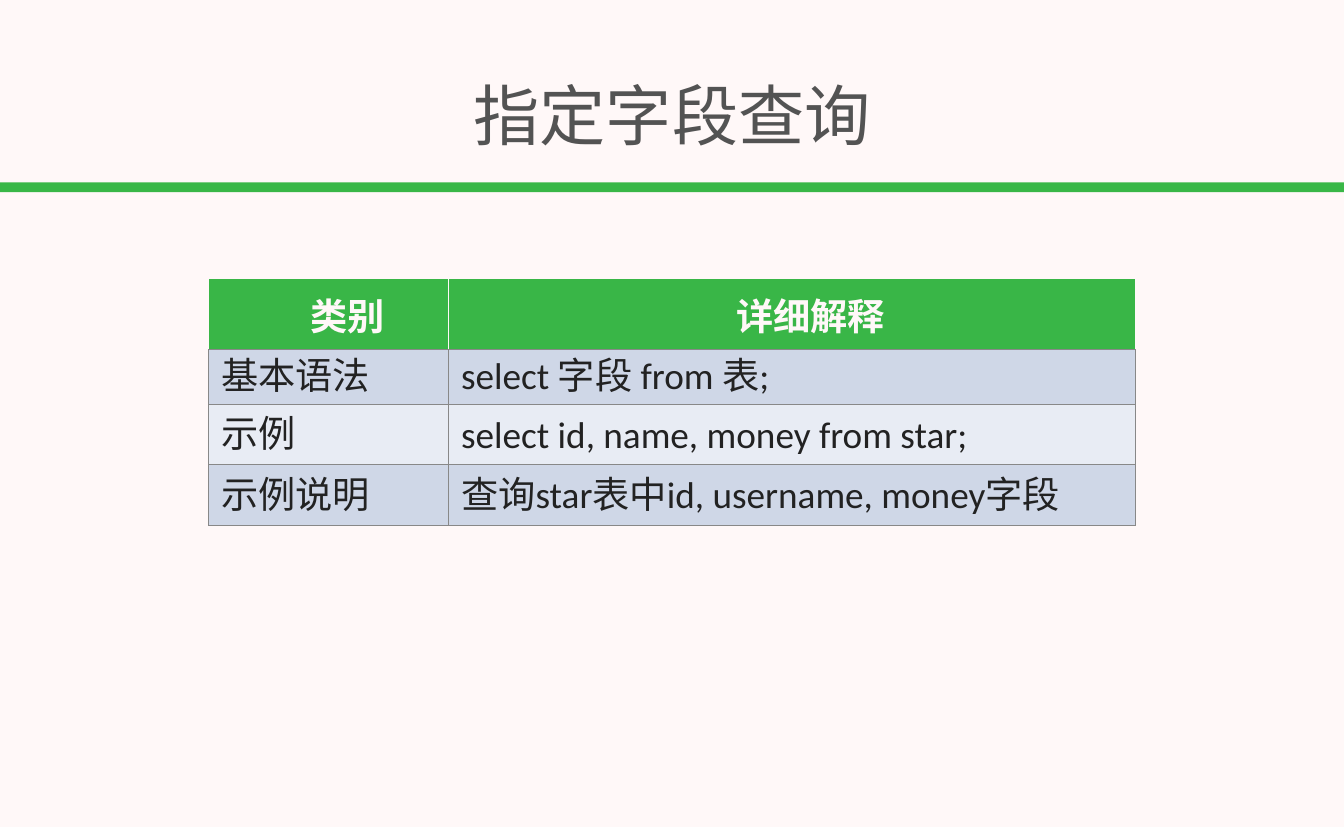
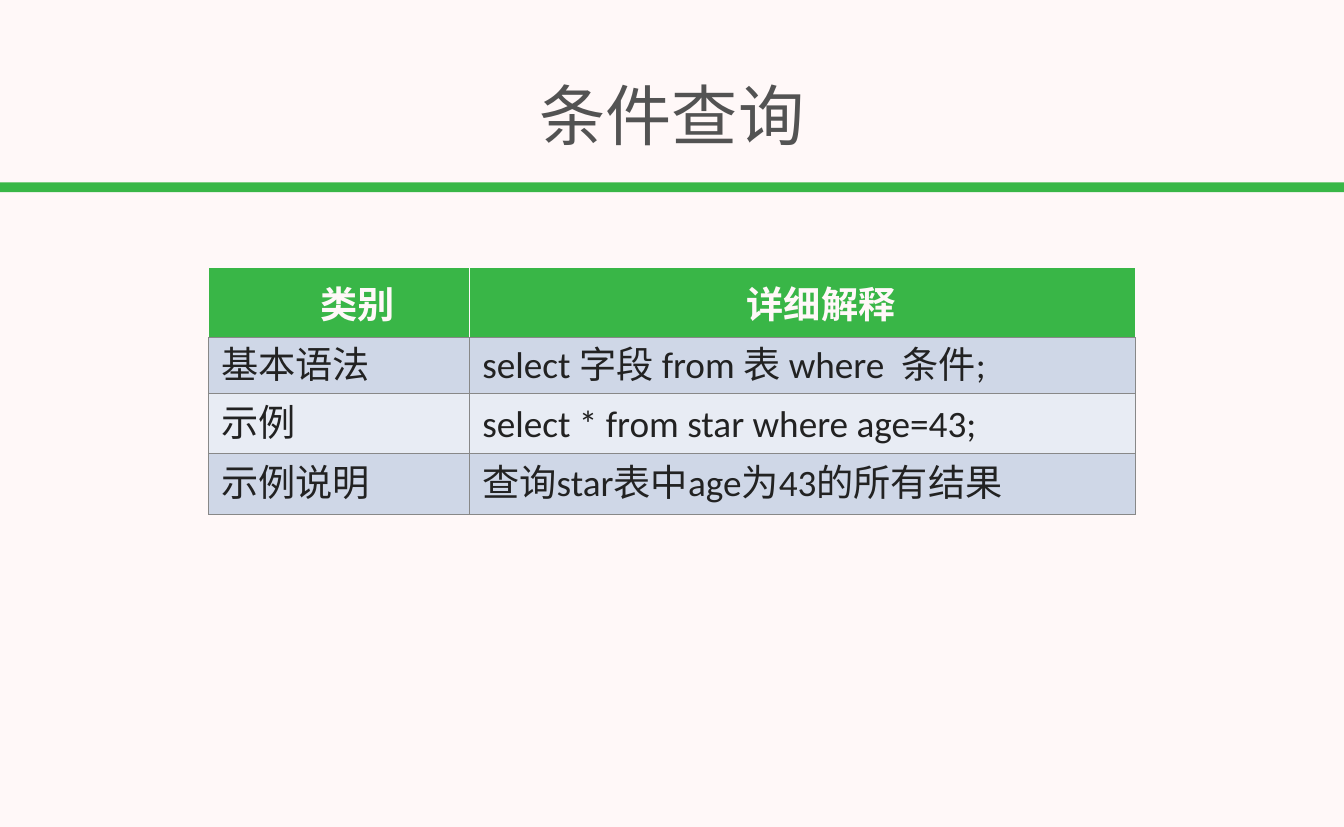
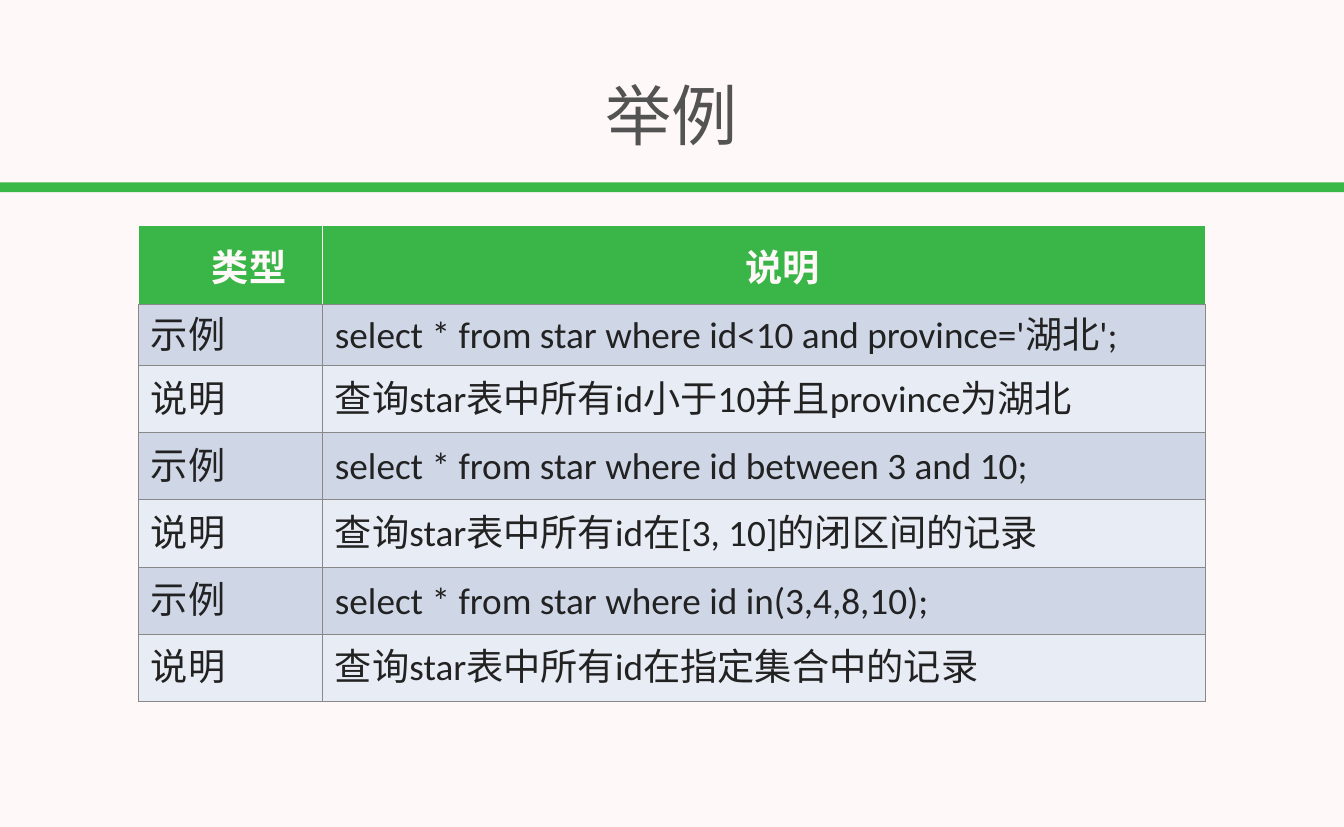
"""Build three slides of SQL query basics, each a title over a ruled table."""
from dataclasses import dataclass

from lxml import etree
from pptx import Presentation
from pptx import util as u
from pptx.dml import color
from pptx.enum import shapes, text
from pptx.oxml import ns


@dataclass(frozen=True)
class Theme:
    width: float = 1300
    height: float = 800
    font: str = "Calibri"
    paper: str = "FFF8F8"
    band: str = "39B747"
    header: str = "39B647"
    stripes: tuple = ("CFD7E7", "E8ECF4")
    border: str = "888888"
    title_ink: str = "535353"
    body_ink: str = "222222"
    title_size: float = 64
    table_size: float = 36
    line_spacing: float = 46
    header_indent: float = 36


def rgb(value):
    return color.RGBColor.from_string(value)


class Deck:
    def __init__(self, theme):
        self.theme = theme
        self.prs = Presentation()
        self.prs.slide_width = u.Pt(theme.width)
        self.prs.slide_height = u.Pt(theme.height)
        self.paint(self.prs.slide_master.background, theme.paper)
        self.s = None

    def paint(self, target, value):
        target.fill.solid()
        target.fill.fore_color.rgb = rgb(value)

    def slide(self, title):
        self.s = self.prs.slides.add_slide(self.prs.slide_layouts[6])
        self.band()
        self.title(title)

    def band(self):
        sp = self.s.shapes.add_shape(
            shapes.MSO_SHAPE.RECTANGLE,
            0, u.Pt(176.4), u.Pt(self.theme.width), u.Pt(9.4))
        sp.shadow.inherit = False
        self.paint(sp, self.theme.band)
        sp.line.fill.background()

    def run(self, p, words, size, ink, bold=False):
        r = p.add_run()
        r.text = words
        r.font.name = self.theme.font
        r.font.size = u.Pt(size)
        r.font.bold = bold
        r.font.color.rgb = rgb(ink)

    def title(self, words):
        sp = self.s.shapes.add_textbox(
            u.Pt(3), u.Pt(59), u.Pt(self.theme.width - 6), u.Pt(102))
        tf = sp.text_frame
        tf.word_wrap = True
        tf.vertical_anchor = text.MSO_ANCHOR.MIDDLE
        tf.margin_left = tf.margin_right = u.Pt(3.6)
        tf.margin_top = tf.margin_bottom = u.Pt(3.6)
        p = tf.paragraphs[0]
        p.alignment = text.PP_ALIGN.CENTER
        self.run(p, words, self.theme.title_size, self.theme.title_ink)

    def borders(self, cell, left, right, top, bottom):
        tc_pr = cell._tc.get_or_add_tcPr()
        sides = {"L": left, "R": right, "T": top, "B": bottom}
        for side, value in sides.items():
            ln = etree.SubElement(tc_pr, ns.qn("a:ln" + side), w=str(u.Pt(1)))
            fill = etree.SubElement(ln, ns.qn("a:solidFill"))
            etree.SubElement(fill, ns.qn("a:srgbClr"), val=value)

    def cell(self, cell, words, fill, edges, margins, ink, bold=False):
        self.borders(cell, *edges)
        self.paint(cell, fill)
        cell.vertical_anchor = text.MSO_ANCHOR.MIDDLE
        cell.margin_left = cell.margin_right = u.Pt(margins[0])
        cell.margin_top = cell.margin_bottom = u.Pt(margins[1])
        p = cell.text_frame.paragraphs[0]
        self.run(p, words, self.theme.table_size, ink, bold)
        return p

    def header_cell(self, cell, words):
        t = self.theme
        edges = (t.paper, t.paper, t.paper, t.border)
        p = self.cell(cell, words, t.header, edges, (0, 0), t.paper, True)
        p.alignment = text.PP_ALIGN.CENTER
        p._p.get_or_add_pPr().set("indent", str(u.Pt(t.header_indent)))

    def body_cell(self, cell, words, stripe):
        t = self.theme
        p = self.cell(cell, words, stripe, (t.border,) * 4, (12, 3), t.body_ink)
        p.line_spacing = u.Pt(t.line_spacing)

    def table(self, top, widths, heights, rows):
        header, first, other = heights
        row_heights = [header, first] + [other] * (len(rows) - 2)
        width = sum(widths)
        table = self.s.shapes.add_table(
            len(rows), len(widths), u.Pt((self.theme.width - width) / 2),
            u.Pt(top), u.Pt(width), u.Pt(sum(row_heights))).table
        table.horz_banding = False
        for column, size in zip(table.columns, widths):
            column.width = u.Pt(size)
        for i, (row, size, words) in enumerate(zip(table.rows, row_heights, rows)):
            row.height = u.Pt(size)
            for cell, word in zip(row.cells, words):
                if i == 0:
                    self.header_cell(cell, word)
                else:
                    self.body_cell(cell, word, self.theme.stripes[(i - 1) % 2])


SYNTAX_HEIGHTS = (68.4, 53.4, 58.5)
EXAMPLE_HEIGHTS = (76.2, 58.8, 65)


def syntax_rows(syntax, example, meaning):
    return [("类别", "详细解释"), ("基本语法", syntax),
            ("示例", example), ("示例说明", meaning)]


def example_rows(examples):
    rows = [("类型", "说明")]
    for query, meaning in examples:
        rows += [("示例", query), ("说明", meaning)]
    return rows


deck = Deck(Theme())

deck.slide("指定字段查询")
deck.table(269.5, (232, 664), SYNTAX_HEIGHTS, syntax_rows(
    "select 字段 from 表;",
    "select id, name, money from star;",
    "查询star表中id, username, money字段"))

deck.slide("条件查询")
deck.table(258.5, (252.5, 643.5), SYNTAX_HEIGHTS, syntax_rows(
    "select 字段 from 表 where  条件;",
    "select * from star where age=43;",
    "查询star表中age为43的所有结果"))

deck.slide("举例")
deck.table(218.5, (178, 854), EXAMPLE_HEIGHTS, example_rows([
    ("select * from star where id<10 and province='湖北';",
     "查询star表中所有id小于10并且province为湖北"),
    ("select * from star where id between 3 and 10;",
     "查询star表中所有id在[3, 10]的闭区间的记录"),
    ("select * from star where id in(3,4,8,10);",
     "查询star表中所有id在指定集合中的记录"),
]))

deck.prs.save("out.pptx")
